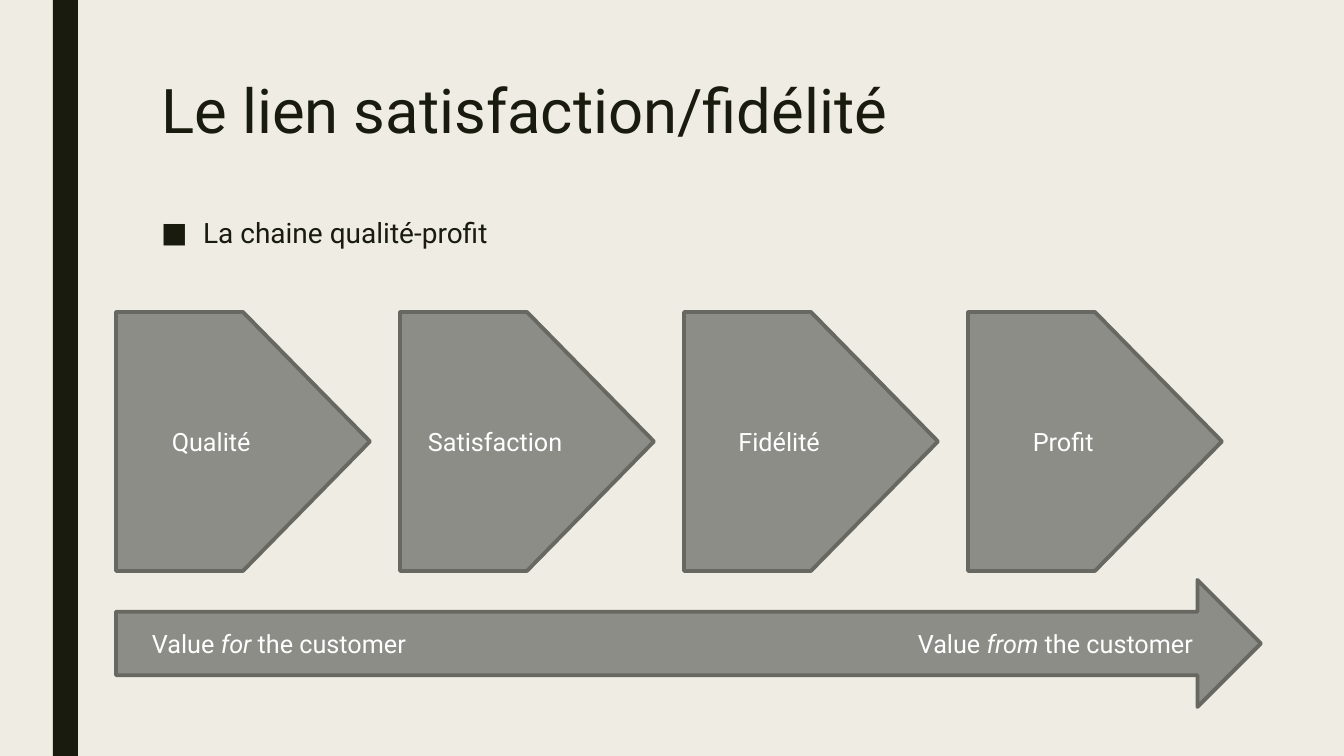
from lxml.etree import SubElement
from pptx import Presentation
from pptx.dml.color import RGBColor
from pptx.enum.shapes import MSO_SHAPE
from pptx.enum.text import MSO_ANCHOR, MSO_AUTO_SIZE, PP_ALIGN
from pptx.oxml.ns import qn
from pptx.util import Pt

PX = 914400 / 100.8
COLOURS = {"background": "EFEDE3", "dark": "191B0E", "grey": "8C8D86",
           "outline": "686863", "white": "FFFFFF"}
FONT = "Roboto"


def add_filled_shape(kind, box, fill, outline=None):
    shape = slide.shapes.add_shape(kind, *[round(value * PX) for value in box])
    shape.shadow.inherit = False
    shape.fill.solid()
    shape.fill.fore_color.rgb = RGBColor.from_string(COLOURS[fill])
    if outline:
        shape.line.color.rgb = RGBColor.from_string(COLOURS[outline])
        shape.line.width = Pt(2.75)
    else:
        shape.line.fill.background()
    return shape


def add_text(paragraph, text, size, colour, italic=False):
    run = paragraph.add_run()
    run.text = text
    run.font.name = FONT
    run.font.size = Pt(size)
    run.font.italic = italic
    run.font.color.rgb = RGBColor.from_string(COLOURS[colour])


presentation = Presentation()
presentation.slide_width = round(1344 * PX)
presentation.slide_height = round(756 * PX)
slide = presentation.slides.add_slide(presentation.slide_layouts[1])
slide.background.fill.solid()
slide.background.fill.fore_color.rgb = RGBColor.from_string(COLOURS["background"])

add_filled_shape(MSO_SHAPE.RECTANGLE, (53, 0, 25, 756), "dark")

# Title and list
title, body = slide.placeholders
for placeholder, top, height, text, size, spacing in (
    (title, 76, 163, "Le lien satisfaction/fidélité", 44, 0.89),
    (body, 213, 395, "La chaine qualité-profit", 20, 0.94),
):
    placeholder.left, placeholder.top = round(151 * PX), round(top * PX)
    placeholder.width, placeholder.height = round(1058 * PX), round(height * PX)
    frame = placeholder.text_frame
    frame.auto_size = MSO_AUTO_SIZE.NONE
    frame.vertical_anchor = MSO_ANCHOR.TOP
    paragraph = frame.paragraphs[0]
    paragraph.alignment = PP_ALIGN.LEFT
    paragraph.line_spacing = spacing
    paragraph.space_before = Pt(0)
    add_text(paragraph, text, size, "dark")

bullet_properties = body.text_frame.paragraphs[0]._p.get_or_add_pPr()
bullet_properties.set("marL", str(round(42 * PX)))
bullet_properties.set("indent", str(round(-42 * PX)))
SubElement(bullet_properties, qn("a:buFont"), typeface=FONT)
SubElement(bullet_properties, qn("a:buChar"), char="■")

# Quality-to-profit chain
for index, step in enumerate(("Qualité", "Satisfaction", "Fidélité", "Profit")):
    pentagon = add_filled_shape(MSO_SHAPE.PENTAGON, (116 + 284 * index, 312, 254, 259),
                                "grey", "outline")
    pentagon.text_frame.vertical_anchor = MSO_ANCHOR.MIDDLE
    paragraph = pentagon.text_frame.paragraphs[0]
    paragraph.alignment = PP_ALIGN.CENTER
    add_text(paragraph, step, 18, "white")

# Value arrow, its second phrase held by a right tab
arrow = add_filled_shape(MSO_SHAPE.RIGHT_ARROW, (116, 580, 1145, 127), "grey", "outline")
frame = arrow.text_frame
frame.vertical_anchor = MSO_ANCHOR.MIDDLE
frame.margin_left = round(36 * PX)
paragraph = frame.paragraphs[0]
paragraph.alignment = PP_ALIGN.LEFT
tab_list = SubElement(paragraph._p.get_or_add_pPr(), qn("a:tabLst"))
SubElement(tab_list, qn("a:tab"), pos=str(round(1041 * PX)), algn="r")
for text, italic in (("Value ", False), ("for", True), (" the customer\tValue ", False),
                     ("from", True), (" the customer", False)):
    add_text(paragraph, text, 18, "white", italic)

presentation.save("out.pptx")
